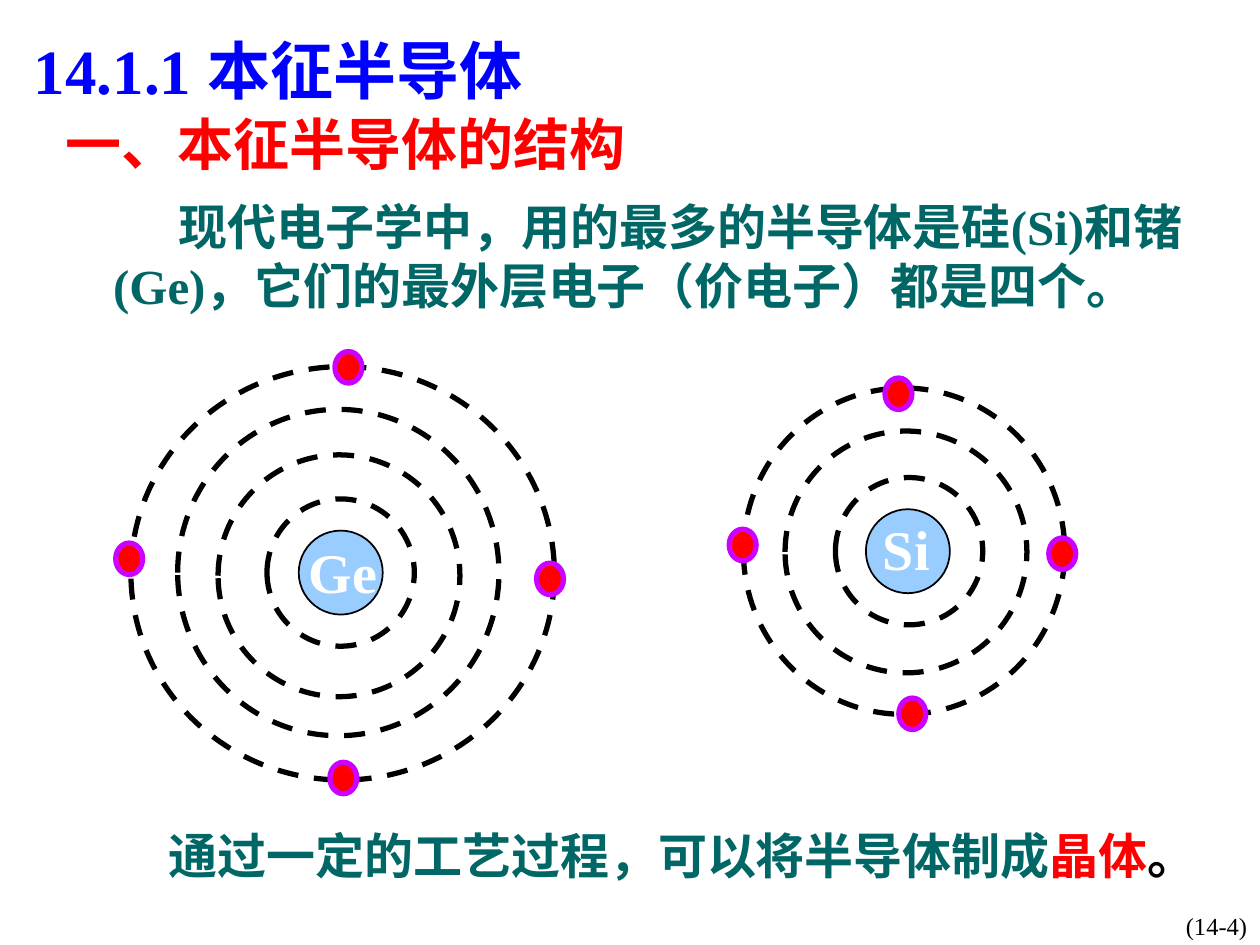
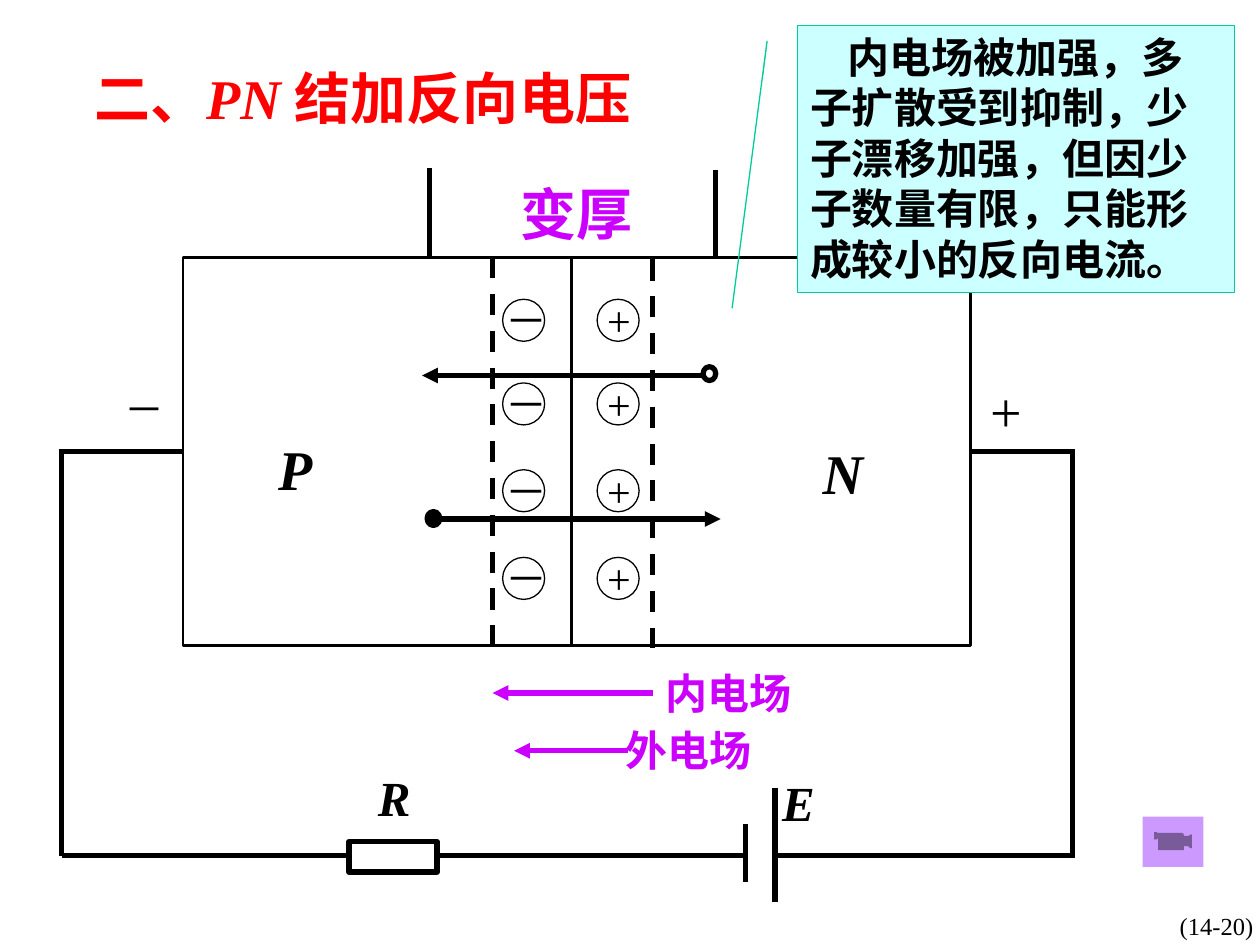
from dataclasses import dataclass

from lxml import etree
from pptx import Presentation
from pptx.dml.color import RGBColor
from pptx.enum.dml import MSO_LINE
from pptx.enum.shapes import MSO_CONNECTOR, MSO_SHAPE
from pptx.enum.text import MSO_ANCHOR, MSO_AUTO_SIZE, PP_ALIGN
from pptx.oxml.ns import qn
from pptx.util import Pt

OVAL, RECT = MSO_SHAPE.OVAL, MSO_SHAPE.RECTANGLE
CALLOUT, MOVIE_BUTTON = MSO_SHAPE.LINE_CALLOUT_2, MSO_SHAPE.ACTION_BUTTON_MOVIE
STRAIGHT, DASH = MSO_CONNECTOR.STRAIGHT, MSO_LINE.DASH
TOP, MIDDLE = MSO_ANCHOR.TOP, MSO_ANCHOR.MIDDLE
LEFT, CENTER = PP_ALIGN.LEFT, PP_ALIGN.CENTER
NO_FIT = MSO_AUTO_SIZE.NONE
LEFT_SIDE, RIGHT_SIDE = 1, 3
TITLE_ONLY = 5


@dataclass(frozen=True)
class Theme:
    latin: str = "Times New Roman"
    cjk: str = "Noto Sans CJK SC"
    black: str = "000000"
    white: str = "FFFFFF"
    blue: str = "0000FF"
    red: str = "FF0000"
    teal: str = "006666"
    violet: str = "CC00FF"
    nucleus: str = "99CCFF"
    note_fill: str = "CCFFFF"
    note_line: str = "00CC99"
    button: str = "CC99FF"
    chapter: int = 36
    heading: int = 32
    body: int = 28
    label: int = 24
    footer: int = 14
    thick: float = 3
    medium: float = 1.5
    thin: float = 0.75


THEME = Theme()


class Deck:
    """Holds the style and the current slide; lengths are in points."""

    def __init__(self, theme):
        self.theme = theme
        self.prs = Presentation()
        self.prs.slide_width, self.prs.slide_height = Pt(720), Pt(540)
        self.slide = None

    def new_slide(self, page, box, runs, size, color, **layout):
        self.slide = self.prs.slides.add_slide(self.prs.slide_layouts[TITLE_ONLY])
        title = self.slide.shapes.title
        title.left, title.top, title.width, title.height = map(Pt, box)
        self.fill_text(title.text_frame, runs, size, color, bold=True, **layout)
        self.text((625.7, 517, 139, 23.8), page, self.theme.footer,
                  anchor=MIDDLE, align=CENTER)

    def fill_text(self, frame, runs, size, color=None, bold=False, italic=False,
                  anchor=TOP, align=LEFT, indent=0):
        """Fill a frame; a run is a string or (string, overrides)."""
        frame_format = {
            "word_wrap": True, "auto_size": NO_FIT, "vertical_anchor": anchor,
            "margin_left": Pt(7.2), "margin_right": Pt(7.2),
            "margin_top": Pt(3.6), "margin_bottom": Pt(3.6),
        }
        for name, value in frame_format.items():
            setattr(frame, name, value)
        paragraph = frame.paragraphs[0]
        paragraph.alignment = align
        if indent:
            paragraph._p.get_or_add_pPr().set("indent", str(Pt(indent)))
        for item in [runs] if isinstance(runs, str) else runs:
            content, changes = (item, {}) if isinstance(item, str) else item
            run = paragraph.add_run()
            run.text = content
            style = {"size": Pt(size), "bold": bold, "italic": italic,
                     "name": self.theme.latin, "color": color or self.theme.black}
            style.update(changes)
            run.font.color.rgb = RGBColor.from_string(style.pop("color"))
            for name, value in style.items():
                setattr(run.font, name, value)
            east_asian = etree.SubElement(run._r.get_or_add_rPr(), qn("a:ea"))
            east_asian.set("typeface", self.theme.cjk)

    def text(self, box, runs, size, color=None, **layout):
        frame = self.slide.shapes.add_textbox(*map(Pt, box)).text_frame
        self.fill_text(frame, runs, size, color, **layout)

    def stroke(self, line, color, width, dash=None):
        line.color.rgb = RGBColor.from_string(color)
        line.width = Pt(width)
        if dash:
            line.dash_style = dash

    def shape(self, kind, box, fill=None, line=None, width=1, dash=None):
        shape = self.slide.shapes.add_shape(kind, *map(Pt, box))
        shape.shadow.inherit = False
        if fill:
            shape.fill.solid()
            shape.fill.fore_color.rgb = RGBColor.from_string(fill)
        else:
            shape.fill.background()
        if line:
            self.stroke(shape.line, line, width, dash)
        else:
            shape.line.fill.background()
        return shape

    def oval(self, cx, cy, w, h, **style):
        return self.shape(OVAL, (cx - w / 2, cy - h / 2, w, h), **style)

    def line(self, x1, y1, x2, y2, color=None, dash=None, arrow=False):
        connector = self.slide.shapes.add_connector(STRAIGHT, *map(Pt, (x1, y1, x2, y2)))
        self.stroke(connector.line, color or self.theme.black, self.theme.thick, dash)
        properties = connector._element.spPr
        if arrow:
            tail = etree.SubElement(properties.find(qn("a:ln")), qn("a:tailEnd"))
            tail.set("type", "triangle")
        etree.SubElement(properties, qn("a:effectLst"))
        return connector

    def atom(self, symbol, label_box, nucleus, rings, electrons):
        t = self.theme
        self.oval(*nucleus, 48, 48, fill=t.nucleus, line=t.black)
        for ring in rings:
            self.oval(*ring, line=t.black, width=t.thick, dash=DASH)
        self.text(label_box, symbol, t.heading, t.white, bold=True)
        for electron in electrons:
            self.oval(*electron, 15.4, 18, fill=t.red, line=t.violet, width=t.thick)

    def ion(self, cx, cy, sign, sign_cx, sign_width):
        t = self.theme
        self.oval(cx, cy, 24, 24, line=t.black, width=t.thin)
        self.text((sign_cx - sign_width / 2, cy - 18.2, sign_width, 36), sign, t.label)


def intrinsic_structure(deck):
    t = deck.theme
    deck.new_slide("(14-4)", (12.2, 14.4, 504.7, 50.4),
                   ["14.1.1 ", ("本征半导体", {"name": t.cjk})], t.chapter, t.blue)
    deck.text((30.2, 59, 653.8, 46), "一、本征半导体的结构", t.heading, t.red, bold=True)

    # Atoms: rings are (centre x, centre y, width, height)
    deck.atom("Ge", (169.2, 303.8, 61.2, 46), (194.7, 327.2),
              [(194.7, 327.2, 84.2, 84.2), (193.7, 329, 138.2, 138.2),
               (193.3, 327.2, 183.6, 186.5), (195.8, 327.6, 242, 236.2)],
              [(314.3, 330.8), (73.8, 319.3), (199.1, 209.9), (196.2, 444.6)])
    deck.atom("Si", (497.5, 290.2, 55.4, 46), (518.8, 315),
              [(519.5, 315, 84.2, 84.2), (517.7, 315.4, 138.2, 138.2),
               (516.6, 315, 183.6, 186.5)],
              [(424.4, 311.4), (521.3, 407.9), (607, 316.4), (513.4, 225)])

    # Explanations
    deck.text((51.8, 468, 648.7, 41),
              ["通过一定的工艺过程，可以将半导体制成",
               ("晶体", {"color": t.red}), ("。", {"color": t.black})],
              t.body, t.teal, bold=True, indent=37.6)
    deck.text((57.6, 108.7, 653.8, 74.9),
              "现代电子学中，用的最多的半导体是硅(Si)和锗(Ge)，"
              "它们的最外层电子（价电子）都是四个。",
              t.body, t.teal, bold=True, indent=37.6)


def reverse_bias(deck):
    t = deck.theme
    deck.new_slide("(14-20)", (37.4, 32.4, 339.8, 46),
                   [("二、", {"name": t.cjk}), ("PN ", {"italic": True}),
                    ("结加反向电压", {"name": t.cjk})],
                   t.heading, t.red, anchor=MIDDLE, align=CENTER)

    # P and N regions
    left, junction, right, top, height = 104.5, 326.5, 554.5, 147, 222
    p_region, n_region = [
        deck.shape(RECT, (start, top, end - start, height), line=t.black, width=t.medium)
        for start, end in ((left, junction), (junction, right))]
    for cy in (183, 230.8, 280.4, 330.5):
        deck.ion(299.2, cy, "－", 302.4, 41.8)
        deck.ion(353.2, cy, "+", 355, 30.2)

    # Depletion layer, thickened from the dashed to the outer bounds
    for dashed_x, outer_x, y in ((281.5, 245.5, top), (373, 409, top + 1.3)):
        deck.line(dashed_x, y, dashed_x, y + height, dash=DASH)
        deck.line(outer_x, y - 51, outer_x, y)
    deck.text((290.2, 98.6, 106.6, 46), "变厚", t.heading, t.violet,
              bold=True, anchor=MIDDLE)

    # Circuit
    wire_y, base_y = top + height / 2, 489
    p_wire = deck.line(33.8, wire_y, left, wire_y)
    p_wire.end_connect(p_region, LEFT_SIDE)
    n_wire = deck.line(right, wire_y, 614.2, wire_y)
    n_wire.begin_connect(n_region, RIGHT_SIDE)
    for wire in ((35.3, wire_y, 35.3, base_y), (612.7, wire_y, 612.7, base_y),
                 (35.3, base_y, 426.6, base_y), (442.5, base_y, 614.2, base_y),
                 (442.8, 450, 442.8, 515.5), (426.2, 471, 426.2, 504)):
        deck.line(*wire)
    deck.shape(RECT, (199.4, 481, 50.4, 17.3), fill=t.white, line=t.black, width=t.thick)

    # Fields
    for name, start, end, y, label_x in (("内电场", 373, 281.5, 396, 373),
                                         ("外电场", 358.6, 293.8, 429, 350.6)):
        deck.line(start, y, end, y, color=t.violet, arrow=True)
        deck.text((label_x, y - 18.4, 98, 36), name, t.label, t.violet,
                  bold=True, anchor=MIDDLE)

    # Drifting carriers
    for cx, cy, fill, start, end, y in (
            (247.7, 296.3, t.black, 251.3, 411.8, 296.6),
            (405.4, 213.5, None, 401.8, 241.2, 214.6)):
        deck.oval(cx, cy, 7.2, 7.9, fill=fill, line=t.black, width=t.thick)
        deck.line(start, y, end, y, arrow=True)

    # Symbols
    for name, x, y in (("N", 463, 247), ("P", 151.9, 244.8)):
        deck.text((x, y, 54.7, 46), name, t.heading, bold=True, italic=True)
    for sign, x, y in (("+", 558.7, 211.7), ("_", 67.7, 195.1)):
        deck.text((x, y, 70.6, 46), sign, t.heading)
    for name, x, y in (("R", 208.8, 434.9), ("E", 439.9, 437.8)):
        deck.text((x, y, 34.6, 41), name, t.body, bold=True, italic=True)

    # Conclusion and movie button
    conclusion = deck.shape(CALLOUT, (455.8, 14.4, 249.8, 152.6), fill=t.note_fill,
                            line=t.note_line, width=t.thin)
    for index, value in enumerate((0.19, -0.08, 0.06, -0.07, 1.06, -0.15)):
        conclusion.adjustments[index] = value
    deck.fill_text(conclusion.text_frame,
                   "内电场被加强，多子扩散受到抑制，少子漂移加强，"
                   "但因少子数量有限，只能形成较小的反向电流。",
                   t.label, bold=True, indent=21.5)
    deck.shape(MOVIE_BUTTON, (653, 466.6, 34.6, 28.8), fill=t.button)


def main():
    deck = Deck(THEME)
    intrinsic_structure(deck)
    reverse_bias(deck)
    deck.prs.save("out.pptx")


if __name__ == "__main__":
    main()
